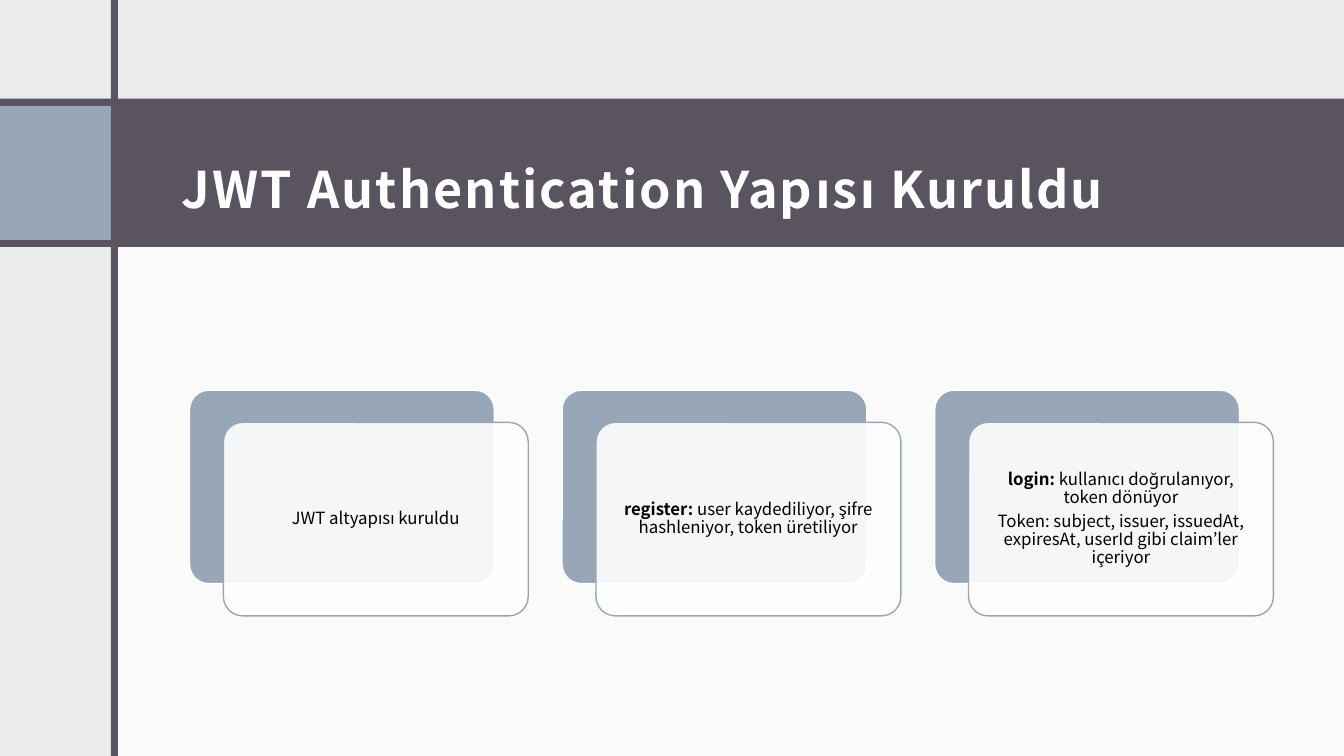
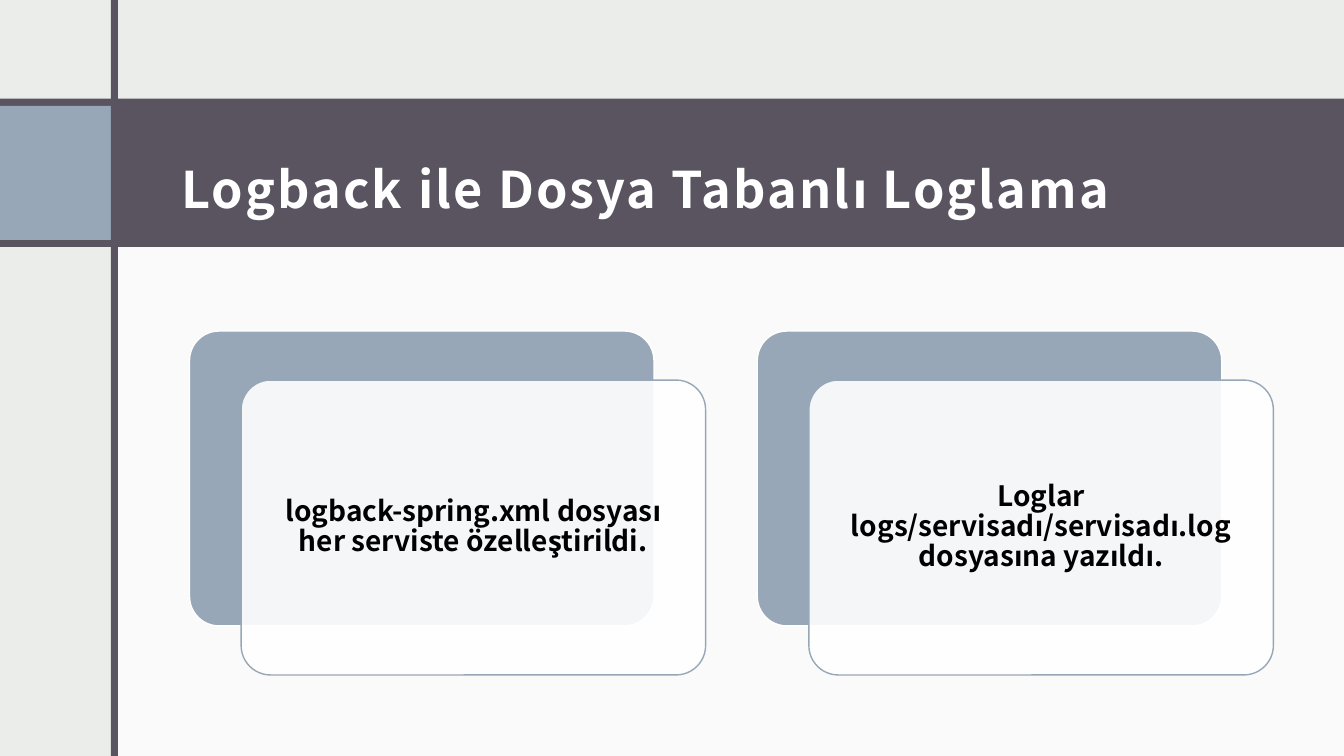
"""Build two slides of overlapping cards under a shared title band."""
from lxml import etree
from pptx import Presentation
from pptx import util as u
from pptx.dml.color import RGBColor
from pptx.enum import shapes, text
from pptx.oxml.ns import qn

COLORS = {
    "ground": "EBEDEB",
    "dark": "595460",
    "blue": "97A7B8",
    "white": "FFFFFF",
    "black": "000000",
}
FONT = "Noto Sans CJK JP"
WIDTH, HEIGHT = 13.33, 7.5
CARDS_LEFT, CARDS_WIDTH, CARDS_MIDDLE = 1.88, 10.75, 4.99


class Deck:
    def __init__(self):
        self.prs = Presentation()
        self.prs.slide_width = u.Inches(WIDTH)
        self.prs.slide_height = u.Inches(HEIGHT)
        self.s = None

    def color(self, name):
        return RGBColor.from_string(COLORS[name])

    def slide(self, title):
        self.s = self.prs.slides.add_slide(self.prs.slide_layouts[6])
        fill = self.s.background.fill
        fill.solid()
        fill.fore_color.rgb = self.color("ground")
        self.shape((1.14, 2.33, WIDTH - 1.14, HEIGHT - 2.33), "white", alpha=75)
        self.shape((0, 0.98, WIDTH, 1.47), "dark")
        self.title(title)
        self.shape((0, 1.05, 1.1, 1.33), "blue")
        self.shape((1.1, 0, 0.07, HEIGHT), "dark")

    def shape(self, box, fill, line=None, alpha=None, corner=None):
        kinds = shapes.MSO_SHAPE
        kind = kinds.RECTANGLE if corner is None else kinds.ROUNDED_RECTANGLE
        sp = self.s.shapes.add_shape(kind, *map(u.Inches, box))
        sp.shadow.inherit = False
        if corner is not None:
            sp.adjustments[0] = corner
        sp.fill.solid()
        sp.fill.fore_color.rgb = self.color(fill)
        if alpha is not None:
            clr = sp._element.spPr.find(qn("a:solidFill"))[0]
            etree.SubElement(clr, qn("a:alpha")).set("val", str(alpha * 1000))
        if line:
            sp.line.color.rgb = self.color(line)
            sp.line.width = u.Pt(1)
        else:
            sp.line.fill.background()
        return sp

    def frame(self, sp, insets):
        tf = sp.text_frame
        sides = ("margin_left", "margin_top", "margin_right", "margin_bottom")
        formats = dict(zip(sides, map(u.Inches, insets)))
        formats.update(word_wrap=True, vertical_anchor=text.MSO_ANCHOR.MIDDLE)
        for name, value in formats.items():
            setattr(tf, name, value)
        return tf

    def run(self, p, words, size, color, bold):
        r = p.add_run()
        r.text = words
        formats = {"name": FONT, "size": u.Pt(size), "bold": bold}
        for name, value in formats.items():
            setattr(r.font, name, value)
        r.font.color.rgb = self.color(color)
        return r

    def title(self, words):
        sp = self.s.shapes.add_textbox(*map(u.Inches, (1.68, 1.14, 10.95, 1.13)))
        p = self.frame(sp, (0.12, 0.12, 0.12, 0.1)).paragraphs[0]
        p.line_spacing = 1.5
        r = self.run(p, words, 36, "white", True)
        r._r.get_or_add_rPr().set("spc", "150")

    def card(self, left, top, width, paragraphs, size):
        height = 0.635 * width
        self.shape((left, top, width, height), "blue", "white", corner=0.1)
        front = (left + width / 9, top + 0.1056 * width, width, height)
        sp = self.shape(front, "white", "blue", alpha=90, corner=0.1)
        tf = self.frame(sp, [0.036 * width] * 4)
        formats = {
            "alignment": text.PP_ALIGN.CENTER,
            "line_spacing": 0.9,
            "space_after": u.Pt(0.35 * size),
        }
        for i, runs in enumerate(paragraphs):
            p = tf.add_paragraph() if i else tf.paragraphs[0]
            for name, value in formats.items():
                setattr(p, name, value)
            for words, bold in runs:
                self.run(p, words, size, "black", bold)

    def cards(self, items, size):
        pitch = 11 / 9
        width = CARDS_WIDTH / ((len(items) - 1) * pitch + 10 / 9)
        top = CARDS_MIDDLE - (0.635 + 0.1056) * width / 2
        for i, paragraphs in enumerate(items):
            self.card(CARDS_LEFT + i * pitch * width, top, width, paragraphs, size)


def main():
    deck = Deck()
    deck.slide("JWT Authentication Yapısı Kuruldu")
    deck.cards([
        [[("JWT altyapısı kuruldu", False)]],
        [[("register: ", True),
          ("user kaydediliyor, şifre hashleniyor, token üretiliyor", False)]],
        [[("login: ", True), ("kullanıcı doğrulanıyor, token dönüyor", False)],
         [("Token: subject, issuer, issuedAt, expiresAt, userId gibi "
           "claim’ler içeriyor", False)]],
    ], 12)
    deck.slide("Logback ile Dosya Tabanlı Loglama")
    deck.cards([
        [[("logback-spring.xml dosyası her serviste özelleştirildi.", True)]],
        [[("Loglar logs/servisadı/servisadı.log dosyasına yazıldı.", True)]],
    ], 20)
    deck.prs.save("out.pptx")


if __name__ == "__main__":
    main()
